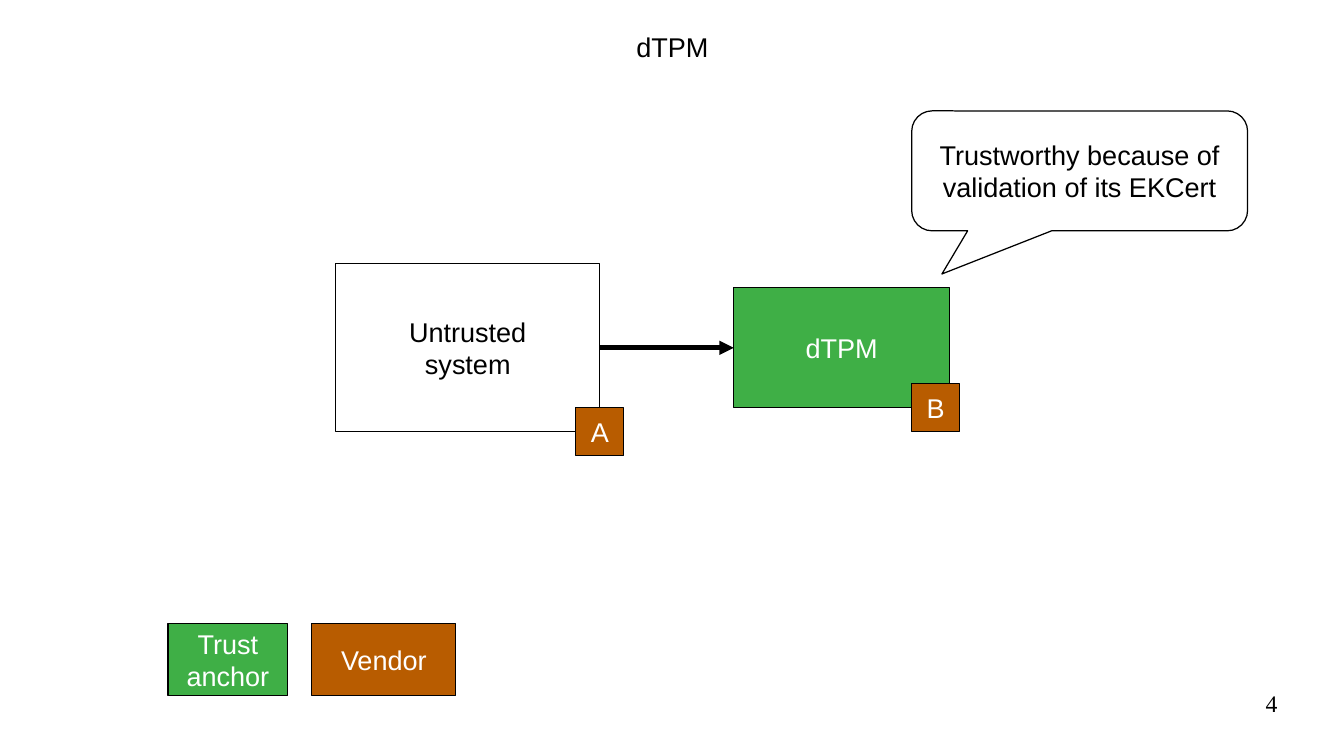
from lxml import etree
from pptx import Presentation, util as u
from pptx.dml.color import RGBColor
from pptx.enum import shapes, text
from pptx.oxml.ns import qn

GREEN, BROWN, BLACK, WHITE = "3FAF46", "B85C00", "000000", "FFFFFF"
RECT = shapes.MSO_SHAPE.RECTANGLE
CALLOUT = shapes.MSO_SHAPE.ROUNDED_RECTANGULAR_CALLOUT
BOXES = [
    ("anchor", "dTPM", (734, 288, 216, 120), GREEN, RECT),
    ("vendor B", "B", (912, 384, 48, 48), BROWN, RECT),
    ("legend anchor", "Trust anchor", (168, 624, 120, 72), GREEN, RECT),
    ("legend vendor", "Vendor", (312, 624, 144, 72), BROWN, RECT),
    ("system", "Untrusted\nsystem", (336, 264, 264, 168), None, RECT),
    ("vendor A", "A", (576, 408, 48, 48), BROWN, RECT),
    ("callout", "Trustworthy because of validation of its EKCert",
     (912, 111, 336, 120), None, CALLOUT),
]
TITLE = ("dTPM", (540, 24, 265, 46))
PAGE_NUMBER = ("4", (964, 689, 314, 52))
CALLOUT_ADJUSTMENTS = (-0.41, 0.86, 0.17)
SCALE = 914400 / 122


def px(*lengths):
    return [u.Emu(round(length * SCALE)) for length in lengths]


def color(value):
    return RGBColor.from_string(value)


def write(shape, content, size=16, font="Arial", ink=BLACK,
          align=text.PP_ALIGN.CENTER, anchor=text.MSO_ANCHOR.MIDDLE, margins=(12, 6)):
    frame = shape.text_frame
    frame.word_wrap = True
    frame.vertical_anchor = anchor
    frame.margin_left = frame.margin_right = px(margins[0])[0]
    frame.margin_top = frame.margin_bottom = px(margins[1])[0]
    frame.text = content
    for paragraph in frame.paragraphs:
        paragraph.alignment = align
        for run in paragraph.runs:
            run.font.size = u.Pt(size)
            run.font.name = font
            run.font.color.rgb = color(ink)


def add_box(slide, content, area, fill, kind):
    shape = slide.shapes.add_shape(kind, *px(*area))
    shape.shadow.inherit = False
    if fill:
        shape.fill.solid()
        shape.fill.fore_color.rgb = color(fill)
    else:
        shape.fill.background()
    shape.line.color.rgb = color(BLACK)
    shape.line.width = u.Pt(0)
    write(shape, content, ink=WHITE if fill else BLACK)
    return shape


def add_arrow(slide, start, end):
    arrow = slide.shapes.add_connector(shapes.MSO_CONNECTOR.STRAIGHT, 0, 0, 0, 0)
    arrow.begin_connect(start, 3)
    arrow.end_connect(end, 1)
    arrow.line.color.rgb = color(BLACK)
    arrow.line.width = u.Pt(2.83)
    properties = arrow._element.spPr
    etree.SubElement(properties.find(qn("a:ln")), qn("a:tailEnd"), type="triangle")
    etree.SubElement(properties, qn("a:effectLst"))


def main():
    presentation = Presentation()
    presentation.slide_width = u.Inches(11.02)
    presentation.slide_height = u.Inches(6.2)
    slide = presentation.slides.add_slide(presentation.slide_layouts[6])

    boxes = {name: add_box(slide, *details) for name, *details in BOXES}
    for index, value in enumerate(CALLOUT_ADJUSTMENTS):
        boxes["callout"].adjustments[index] = value
    add_arrow(slide, boxes["system"], boxes["anchor"])

    content, area = TITLE
    write(slide.shapes.add_textbox(*px(*area)), content, anchor=text.MSO_ANCHOR.TOP)
    content, area = PAGE_NUMBER
    write(slide.shapes.add_textbox(*px(*area)), content, size=14,
          font="Times New Roman", align=text.PP_ALIGN.RIGHT,
          anchor=text.MSO_ANCHOR.TOP, margins=(0, 0))

    presentation.save("out.pptx")


if __name__ == "__main__":
    main()
